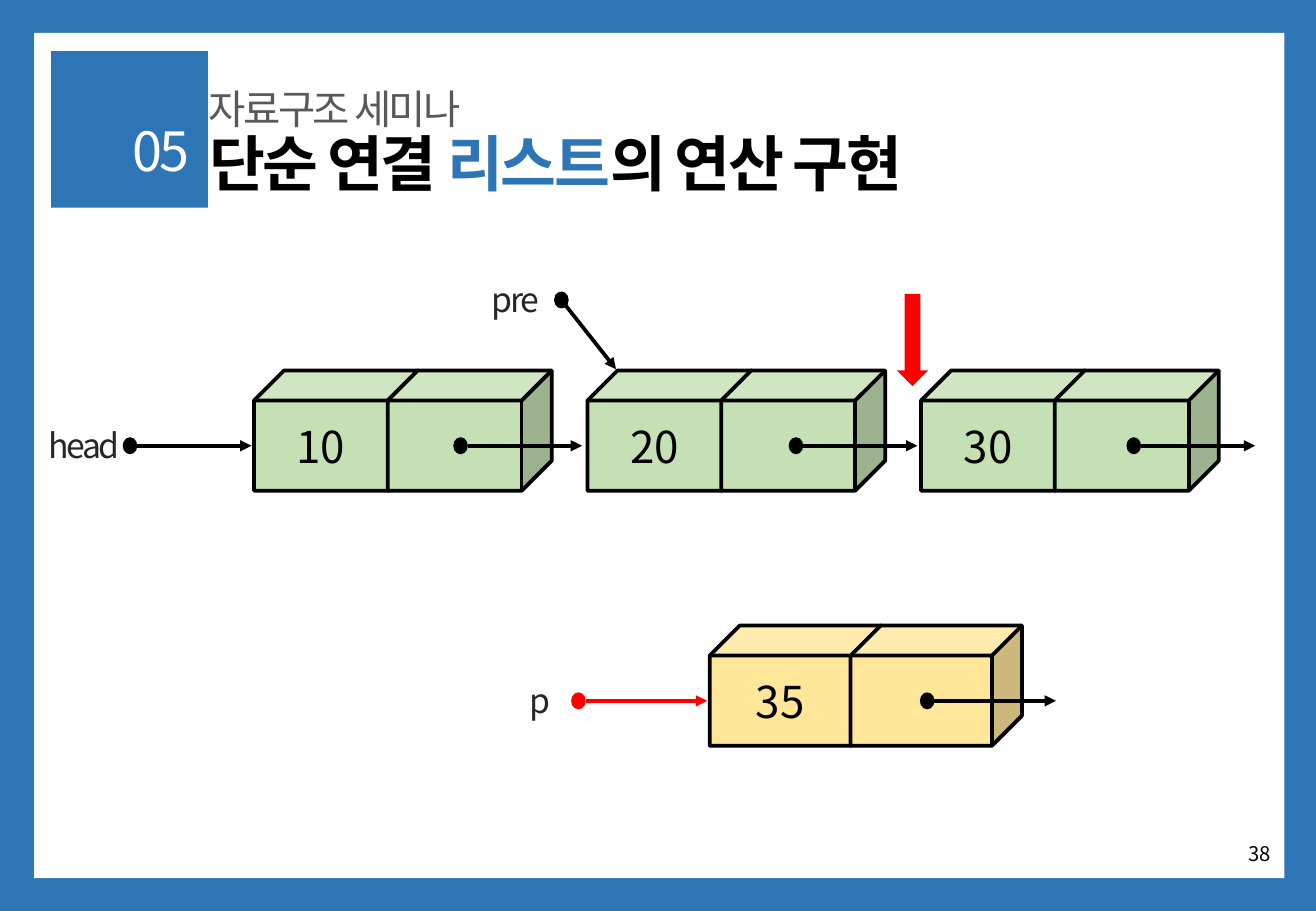
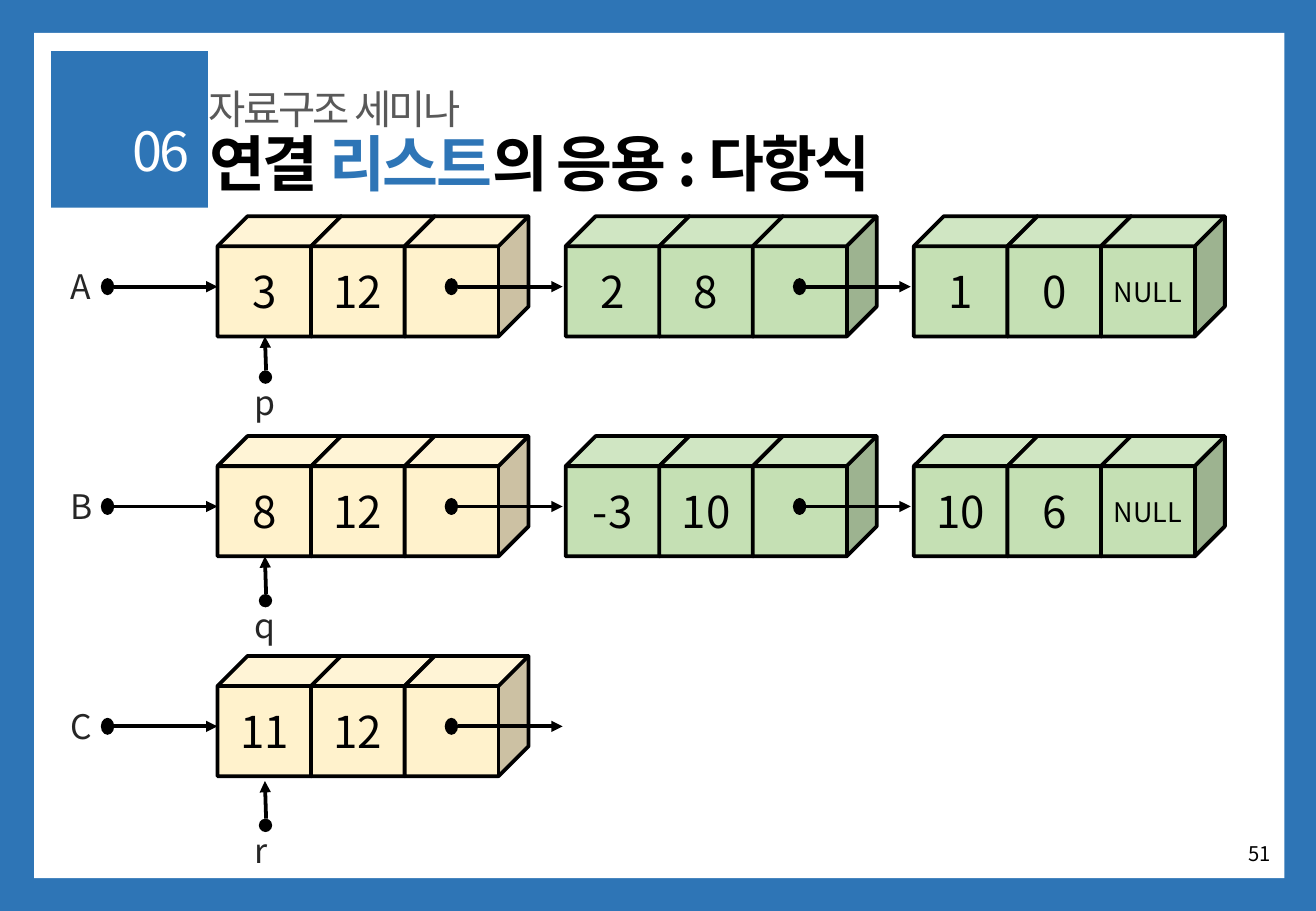
from pptx import Presentation
from pptx.dml.color import RGBColor
from pptx.enum.shapes import MSO_CONNECTOR, MSO_SHAPE
from pptx.enum.text import MSO_ANCHOR, MSO_AUTO_SIZE, PP_ALIGN
from pptx.oxml.ns import qn
from pptx.util import Inches, Pt
from lxml import etree

RECT, CUBE, DOT = MSO_SHAPE.RECTANGLE, MSO_SHAPE.CUBE, MSO_SHAPE.FLOWCHART_CONNECTOR
DOWN_ARROW, STRAIGHT = MSO_SHAPE.DOWN_ARROW, MSO_CONNECTOR.STRAIGHT
LEFT, CENTER, RIGHT = PP_ALIGN.LEFT, PP_ALIGN.CENTER, PP_ALIGN.RIGHT
TOP, MIDDLE = MSO_ANCHOR.TOP, MSO_ANCHOR.MIDDLE
NO_FIT = MSO_AUTO_SIZE.NONE

FONT = "Noto Sans CJK KR"
BLUE, WHITE, BLACK, RED = "2E75B6", "FFFFFF", "000000", "FF0000"
GRAY, LABEL = "595959", "262626"
GREEN, YELLOW, CREAM = "C5E0B4", "FFE699", "FFF2CC"
LINE_WIDTH = Pt(2.25)
CUBE_DEPTH = 0.25


def add_shape(slide, kind, box, fill, outline=None):
    shape = slide.shapes.add_shape(kind, *map(Inches, box))
    shape.shadow.inherit = False
    shape.fill.solid()
    shape.fill.fore_color.rgb = RGBColor.from_string(fill)
    if outline:
        shape.line.color.rgb = RGBColor.from_string(outline)
        shape.line.width = LINE_WIDTH
    else:
        shape.line.fill.background()
    return shape


def write(shape, runs, size, align=LEFT, anchor=MIDDLE, bold=False, tight=True, heading=False, wrap=True):
    frame = shape.text_frame
    frame.word_wrap = wrap
    frame.auto_size = NO_FIT
    frame.vertical_anchor = anchor
    paragraph = frame.paragraphs[0]
    paragraph.alignment = align
    if heading:
        paragraph.line_spacing = 0.9
        paragraph.space_before = Pt(10)
    for text, color in runs:
        run = paragraph.add_run()
        run.text = text
        run.font.size = Pt(size)
        run.font.bold = bold
        run.font.name = FONT
        run.font.color.rgb = RGBColor.from_string(color)
        properties = run.font._element
        etree.SubElement(properties, qn("a:ea")).set("typeface", FONT)
        if tight:
            properties.set("spc", "-150")


insert_nodes = [(2.09 + 2.745 * i, 3.05, 1.1, [value, ""], GREEN)
                for i, value in enumerate(["10", "20", "30"])]
insert_nodes.append((5.84, 5.15, 1.16, ["35", ""], YELLOW))
insert_pointers = [((x, y - 0.07, 0.12, 0.14), (x + 0.12, y), (x + length, y), color)
                   for x, y, length, color in [
                       (1.01, 3.67, 1.06, BLACK), (3.73, 3.67, 1.06, BLACK),
                       (6.49, 3.67, 1.06, BLACK), (9.27, 3.67, 1.06, BLACK),
                       (7.57, 5.77, 1.12, BLACK), (4.7, 5.77, 1.12, RED)]]
insert_pointers.append(((4.56, 2.4, 0.12, 0.14), (4.58, 2.42), (5.07, 3.04), BLACK))
insert_labels = [("head", 0.3, 3.45, 0.83), ("pre", 3.95, 2.25, 0.71), ("p", 4.26, 5.55, 0.38)]

polynomials = [
    ("A", "p", 3.05, 2.77, [["3", "12", ""], ["2", "8", ""], ["1", "0", "NULL"]]),
    ("B", "q", 4.89, 4.58, [["8", "12", ""], ["-3", "10", ""], ["10", "6", "NULL"]]),
    ("C", "r", 6.74, 6.43, [["11", "12", ""]]),
]
term_nodes, term_pointers, term_labels = [], [], []
for row, (name, cursor, cursor_y, tip_y, terms) in enumerate(polynomials):
    top = 1.78 + 1.81 * row
    axis = top + 0.58
    link_starts = [(0.83, 0.96)]
    for i, term in enumerate(terms):
        x = 1.79 + 2.865 * i
        term_nodes.append((x, top, 0.77, term, GREEN if i else CREAM))
        if not term[-1]:
            link_starts.append((x + 1.87, 0.97))
    for x, length in link_starts:
        term_pointers.append(((x, axis - 0.07, 0.11, 0.14), (x + 0.11, axis), (x + length, axis), BLACK))
    term_pointers.append(((2.13, cursor_y, 0.11, 0.11), (2.19, cursor_y), (2.18, tip_y), BLACK))
    term_labels += [(name, 0.48, top + 0.36, 0.46), (cursor, 2, cursor_y + 0.04, 0.4)]

pages = [
    ("05", "38", [("단순 연결 ", BLACK), ("리스트", BLUE), ("의 연산 구현", BLACK)],
     insert_nodes, insert_pointers, insert_labels),
    ("06", "51", [("연결 ", BLACK), ("리스트", BLUE), ("의 응용 : 다항식", BLACK)],
     term_nodes, term_pointers, term_labels),
]

prs = Presentation()
prs.slide_width, prs.slide_height = Inches(10.83), Inches(7.5)
layout = prs.slide_layouts[5]
slides = [prs.slides.add_slide(layout) for page in pages]

frame_parts = [((0, 0, 10.83, 7.5), BLUE), ((0.28, 0.27, 10.29, 6.96), WHITE),
               ((0.42, 0.42, 1.29, 1.29), BLUE)]
for order, (box, fill) in enumerate(frame_parts):
    part = add_shape(slides[0], RECT, box, fill)
    layout.shapes.element.insert(2 + order, part.element)

for slide, (chapter, number, heading, nodes, pointers, labels) in zip(slides, pages):
    title = slide.shapes.title
    title.left, title.top, title.width, title.height = map(Inches, (1.62, 1.07, 6.73, 0.6))
    write(title, heading, 36, bold=True, heading=True)

    for text, box, size, color, align, is_heading in [
            ("자료구조 세미나", (1.62, 0.76, 4.92, 0.31), 24, GRAY, LEFT, True),
            (chapter, (0.59, 1.01, 1.07, 0.51), 32, WHITE, RIGHT, True),
            (number, (8.12, 6.83, 2.44, 0.4), 12, BLACK, RIGHT, False)]:
        write(slide.shapes.add_textbox(*map(Inches, box)), [(text, color)], size, align,
              tight=is_heading, heading=is_heading)

    for x, y, step, values, fill in nodes:
        for i, value in enumerate(values):
            cell = add_shape(slide, CUBE, (x + step * i, y, step + CUBE_DEPTH, 0.99), fill, BLACK)
            if value:
                write(cell, [(value, BLACK)], 16 if value == "NULL" else 26, CENTER,
                      tight=False, wrap=False)

    for dot_box, start, end, color in pointers:
        add_shape(slide, DOT, dot_box, color)
        arrow = slide.shapes.add_connector(STRAIGHT, *map(Inches, start + end))
        arrow.line.color.rgb = RGBColor.from_string(color)
        arrow.line.width = LINE_WIDTH
        etree.SubElement(arrow.line._get_or_add_ln(), qn("a:tailEnd")).set("type", "triangle")
        etree.SubElement(arrow._element.spPr, qn("a:effectLst"))

    for text, x, y, width in labels:
        write(slide.shapes.add_textbox(*map(Inches, (x, y, width, 0.44))), [(text, LABEL)], 20, anchor=TOP)

add_shape(slides[0], DOWN_ARROW, (7.38, 2.42, 0.26, 0.76), RED)

prs.save("out.pptx")
